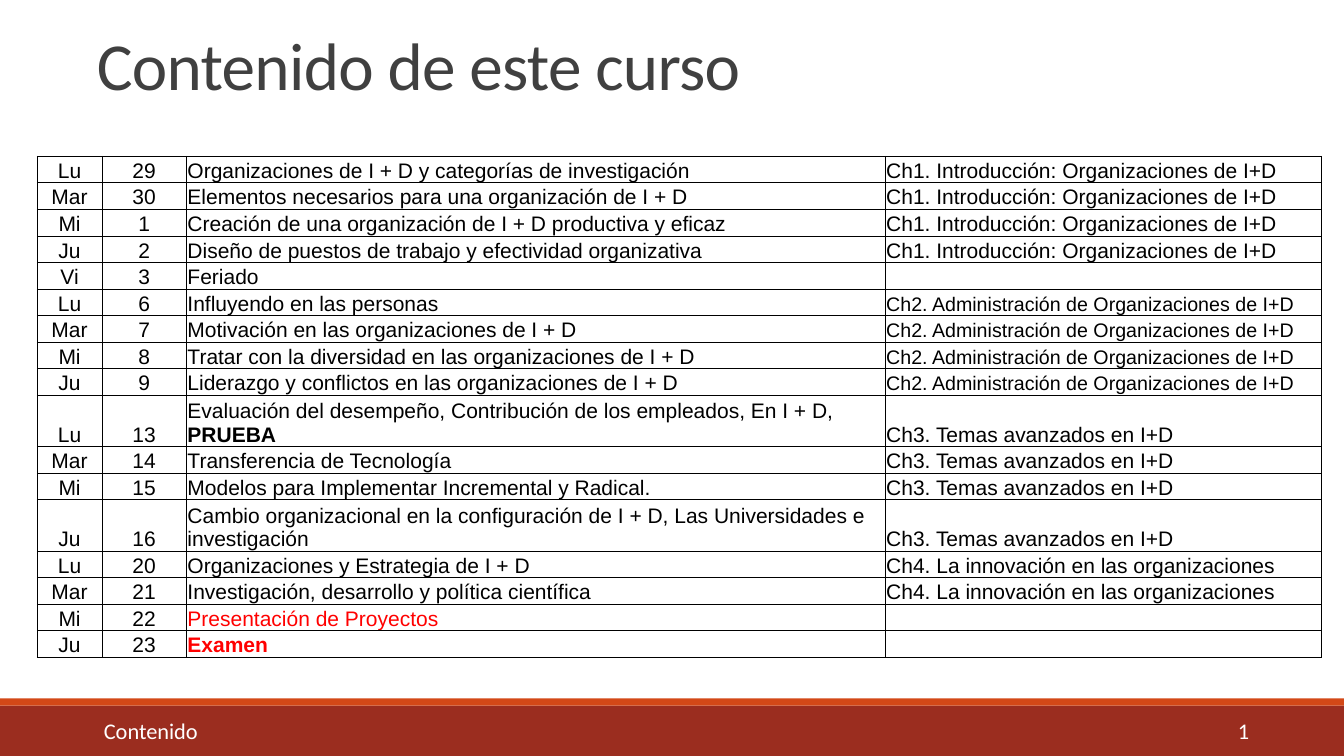
from dataclasses import dataclass

import pptx
import pptx.dml.color
import pptx.enum.shapes
import pptx.enum.text
import pptx.oxml.ns
import pptx.util
from lxml import etree

Inches = pptx.util.Inches
Pt = pptx.util.Pt
RGBColor = pptx.dml.color.RGBColor
Align = pptx.enum.text.PP_ALIGN
Anchor = pptx.enum.text.MSO_ANCHOR
qn = pptx.oxml.ns.qn

BLACK = RGBColor(0x00, 0x00, 0x00)
WHITE = RGBColor(0xFF, 0xFF, 0xFF)
RED = RGBColor(0xFF, 0x00, 0x00)
GRAY = RGBColor(0x40, 0x40, 0x40)
BRICK = RGBColor(0x9B, 0x2D, 0x1F)
ORANGE = RGBColor(0xD3, 0x48, 0x17)

CH1 = "Ch1. Introducción: Organizaciones de I+D"
CH2 = "Ch2. Administración de Organizaciones de I+D"
CH3 = "Ch3. Temas avanzados en I+D"
CH4 = "Ch4. La innovación en las organizaciones"

WIDTHS = (0.64, 0.84, 6.93, 4.33)
LINE = 3.69 / 14  # fourteen equal one-line rows
DOUBLE = 0.48
LAST = 0.25


@dataclass
class Lesson:
    day: str
    date: int
    topic: str
    unit: str = ""
    strong: str = ""
    color: RGBColor = BLACK
    height: float = LINE


@dataclass
class Bar:
    top: float
    height: float
    color: RGBColor


LESSONS = [
    Lesson("Lu", 29, "Organizaciones de I + D y categorías de investigación", CH1),
    Lesson("Mar", 30, "Elementos necesarios para una organización de I + D", CH1),
    Lesson("Mi", 1, "Creación de una organización de I + D productiva y eficaz", CH1),
    Lesson("Ju", 2, "Diseño de puestos de trabajo y efectividad organizativa", CH1),
    Lesson("Vi", 3, "Feriado"),
    Lesson("Lu", 6, "Influyendo en las personas", CH2),
    Lesson("Mar", 7, "Motivación en las organizaciones de I + D", CH2),
    Lesson("Mi", 8, "Tratar con la diversidad en las organizaciones de I + D", CH2),
    Lesson("Ju", 9, "Liderazgo y conflictos en las organizaciones de I + D", CH2),
    Lesson("Lu", 13, "Evaluación del desempeño, Contribución de los empleados, En I + D, ",
           CH3, strong="PRUEBA", height=DOUBLE),
    Lesson("Mar", 14, "Transferencia de Tecnología", CH3),
    Lesson("Mi", 15, "Modelos para Implementar Incremental y Radical.", CH3),
    Lesson("Ju", 16, "Cambio organizacional en la configuración de I + D, "
           "Las Universidades e investigación", CH3, height=DOUBLE),
    Lesson("Lu", 20, "Organizaciones y Estrategia de I + D", CH4),
    Lesson("Mar", 21, "Investigación, desarrollo y política científica", CH4),
    Lesson("Mi", 22, "Presentación de Proyectos", color=RED),
    Lesson("Ju", 23, "", strong="Examen", color=RED, height=LAST),
]
BARS = [Bar(7, 0.5, BRICK), Bar(6.93, 0.07, ORANGE)]


def style(para, font: str, size: float, color: RGBColor) -> None:
    para.font.name = font
    para.font.size = Pt(size)
    para.font.color.rgb = color


def draw_bar(slide, bar: Bar) -> None:
    shape = slide.shapes.add_shape(
        pptx.enum.shapes.MSO_SHAPE.RECTANGLE,
        0, Inches(bar.top), Inches(13.33), Inches(bar.height))
    shape.shadow.inherit = False
    shape.fill.solid()
    shape.fill.fore_color.rgb = bar.color
    shape.line.fill.background()


def draw_title(slide) -> None:
    title = slide.shapes.title
    title.left, title.top = Inches(0.86), Inches(0.29)
    title.width, title.height = Inches(11), Inches(0.8)
    frame = title.text_frame
    frame.text = "Contenido de este curso"
    frame.auto_size = pptx.enum.text.MSO_AUTO_SIZE.NONE
    frame.vertical_anchor = Anchor.MIDDLE
    para = frame.paragraphs[0]
    para.alignment = Align.LEFT
    para.line_spacing = 0.85
    style(para, "Calibri", 48, GRAY)
    para.runs[0].font._element.set("spc", "-50")


def draw_footer(slide) -> None:
    box = slide.shapes.add_textbox(
        Inches(0.84), Inches(7.07), Inches(11.66), Inches(0.35))
    frame = box.text_frame
    frame.word_wrap = True
    frame.margin_left = Inches(0.19)
    frame.vertical_anchor = Anchor.MIDDLE
    para = frame.paragraphs[0]
    para.text = "Contenido\t1"
    style(para, "Calibri", 16, WHITE)
    props = para._p.get_or_add_pPr()
    tabs = etree.Element(qn("a:tabLst"))
    etree.SubElement(tabs, qn("a:tab"), pos=str(Inches(11.36)), algn="r")
    props.insert(0, tabs)


def add_edges(cell) -> None:
    """Draw a thin black line on all four sides of the cell."""
    props = cell._tc.get_or_add_tcPr()
    for side in ("lnL", "lnR", "lnT", "lnB"):
        edge = etree.SubElement(props, qn(f"a:{side}"), w=str(Pt(0.5)))
        fill = etree.SubElement(edge, qn("a:solidFill"))
        etree.SubElement(fill, qn("a:srgbClr"), val=str(BLACK))


def fill_cell(cell, text: str, strong: str = "", size: float = 15,
              color: RGBColor = BLACK, align: Align = Align.LEFT) -> None:
    add_edges(cell)
    cell.fill.background()
    cell.vertical_anchor = Anchor.BOTTOM
    cell.margin_left = cell.margin_right = cell.margin_top = Inches(0.01)
    cell.margin_bottom = 0
    para = cell.text_frame.paragraphs[0]
    para.alignment = align
    style(para, "Arial", size, color)
    if text:
        para.add_run().text = text
    if strong:
        run = para.add_run()
        run.text = strong
        run.font.bold = True
    if not para.runs:
        etree.SubElement(para._p, qn("a:endParaRPr"), sz=str(size * 100))


def draw_table(slide) -> None:
    height = sum(lesson.height for lesson in LESSONS)
    table = slide.shapes.add_table(
        len(LESSONS), len(WIDTHS), Inches(0.37), Inches(1.55),
        Inches(sum(WIDTHS)), Inches(height)).table
    table.first_row = table.horz_banding = False
    for column, width in zip(table.columns, WIDTHS):
        column.width = Inches(width)
    for row, lesson in zip(table.rows, LESSONS):
        row.height = Inches(lesson.height)
        day, date, topic, unit = row.cells
        fill_cell(day, lesson.day, align=Align.CENTER)
        fill_cell(date, str(lesson.date), align=Align.CENTER)
        fill_cell(topic, lesson.topic, lesson.strong, color=lesson.color)
        fill_cell(unit, lesson.unit, size=14 if lesson.unit == CH2 else 15)


def main() -> None:
    deck = pptx.Presentation()
    deck.slide_width, deck.slide_height = Inches(13.33), Inches(7.5)
    slide = deck.slides.add_slide(deck.slide_layouts.get_by_name("Title Only"))
    for bar in BARS:
        draw_bar(slide, bar)
    draw_footer(slide)
    draw_title(slide)
    draw_table(slide)
    deck.save("out.pptx")


if __name__ == "__main__":
    main()
